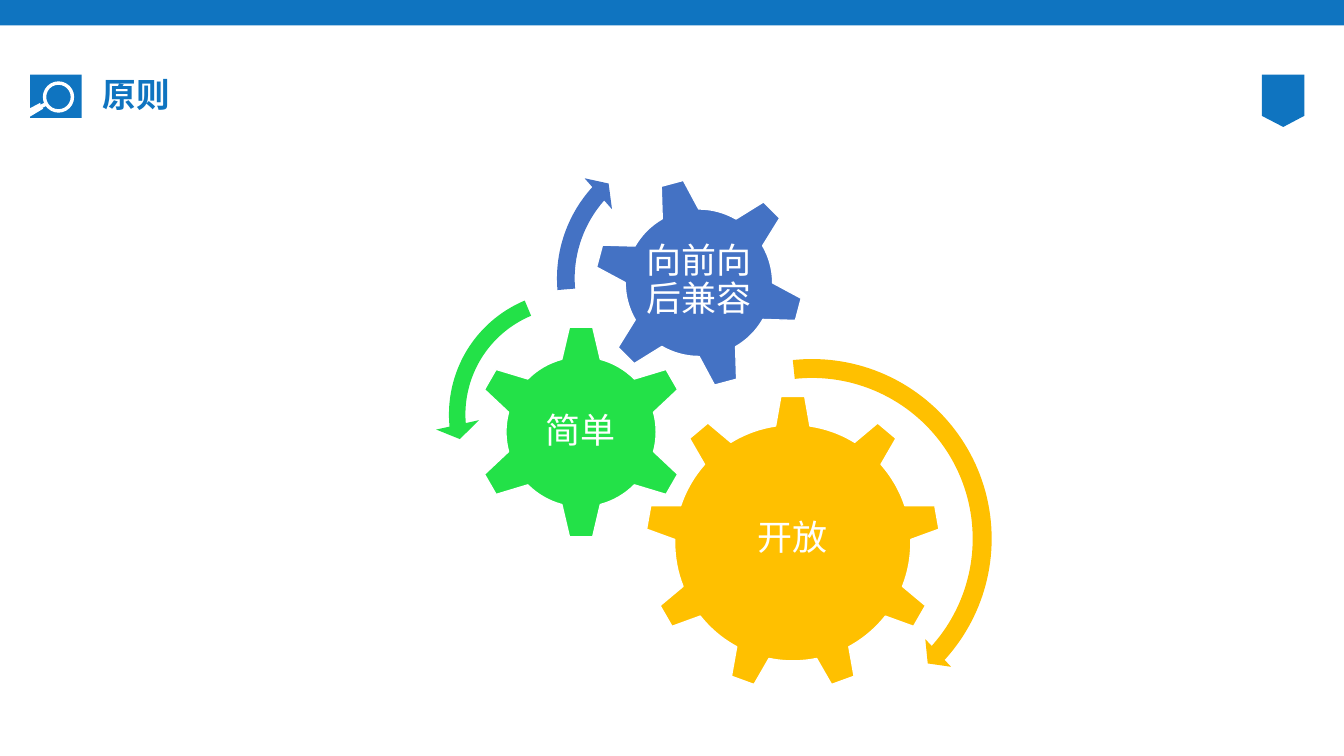
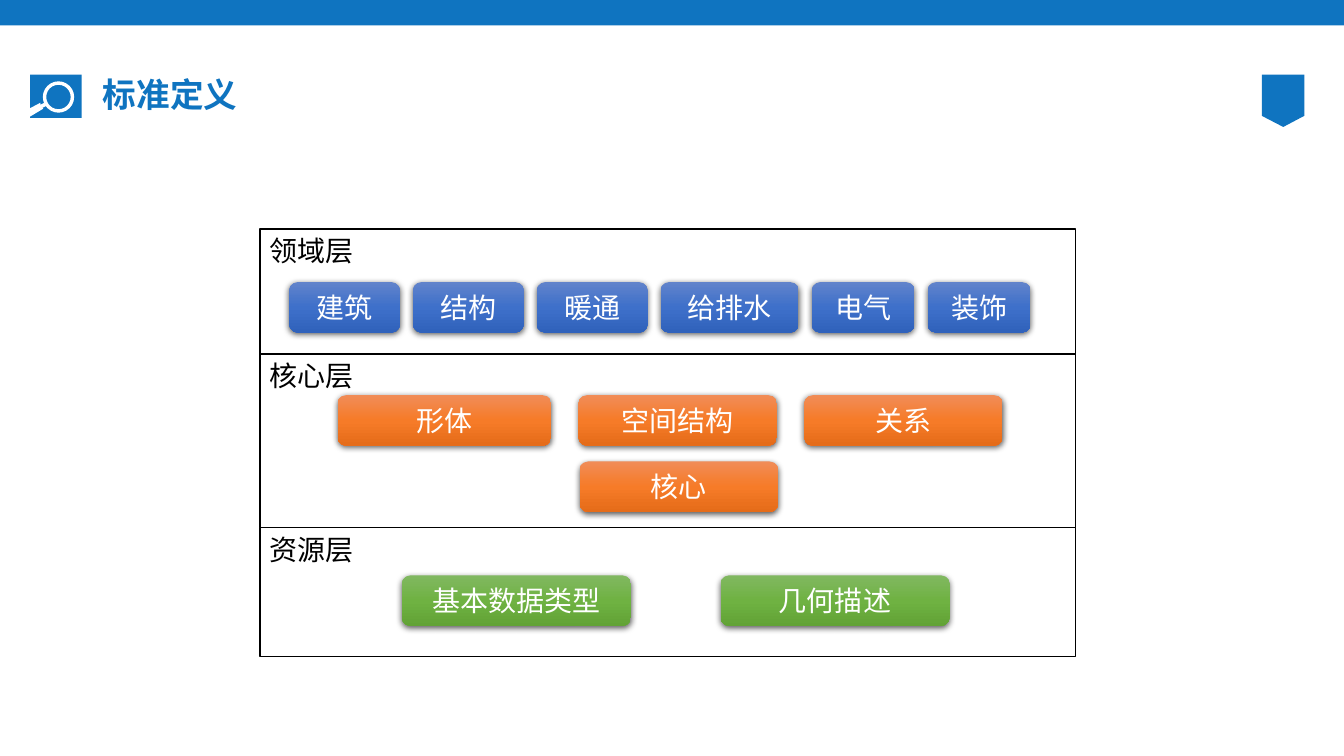
from pptx import Presentation
from pptx.dml.color import RGBColor
from pptx.enum.shapes import MSO_SHAPE
from pptx.enum.text import MSO_ANCHOR, MSO_AUTO_SIZE, PP_ALIGN
from pptx.oxml import parse_xml
from pptx.oxml.ns import nsdecls
from pptx.util import Cm, Pt

RECTANGLE, ROUNDED = MSO_SHAPE.RECTANGLE, MSO_SHAPE.ROUNDED_RECTANGLE
DONUT, GEAR_6, GEAR_9 = MSO_SHAPE.DONUT, MSO_SHAPE.GEAR_6, MSO_SHAPE.GEAR_9
ARROW_RIGHT, ARROW_LEFT = MSO_SHAPE.CIRCULAR_ARROW, MSO_SHAPE.LEFT_CIRCULAR_ARROW
LEFT, CENTER = PP_ALIGN.LEFT, PP_ALIGN.CENTER
TOP, MIDDLE = MSO_ANCHOR.TOP, MSO_ANCHOR.MIDDLE
NO_AUTOFIT = MSO_AUTO_SIZE.NONE

FONT = "Noto Sans CJK SC"
BRAND, WHITE, BLACK = "0F74C0", "FFFFFF", "000000"
YELLOW, GREEN, BLUE = "FFC000", "23E148", "4472C4"
BLUE_GRADIENT = ("6183CB", "3E70CA", "3062BB")
ORANGE_GRADIENT = ("F18C57", "F67B28", "E56C19")
GREEN_GRADIENT = ("81B861", "6FB242", "62A336")

HANDLE = [(1.12, 2.59), (1.02, 2.64), (1.02, 2.59), (0.64, 2.79), (0.6, 2.92),
          (0.66, 2.97), (0.74, 2.95), (1.09, 2.74), (1.07, 2.72), (1.17, 2.67)]
BADGE = [(31.8, 1.88), (32.87, 1.88), (32.87, 2.92), (32.34, 3.2), (31.8, 2.92)]

GEARS = [
    ("开放", GEAR_9, YELLOW, (16.26, 9.96, 7.44, 7.44), 0, (17.75, 11.68, 4.45, 3.81)),
    ("简单", GEAR_6, GREEN, (11.94, 8.18, 5.41, 5.41), 0, (13.28, 9.55, 2.69, 2.67)),
    ("向前向后兼容", GEAR_6, BLUE, (14.96, 4.47, 5.31, 5.31), 345, (16.13, 5.61, 2.97, 2.97)),
]
ARROWS = [
    (ARROW_RIGHT, YELLOW, (15.7, 8.81, 9.53, 9.53), (0.05, 2.99, 25.3, 158.31, 0.05)),
    (ARROW_LEFT, GREEN, (10.97, 6.99, 6.91, 6.91), (0.06, 4.3, 104.89, 148.38, 0.08)),
    (ARROW_RIGHT, BLUE, (13.74, 3.3, 7.44, 7.44), (0.06, 3.94, 133.14, 105.08, 0.07)),
]
LAYERS = [("领域层", 3.15), ("核心层", 4.37), ("资源层", 3.25)]
CHIP_ROWS = [
    (BLUE_GRADIENT, 7.29, 7.11, 0.33,
     [("建筑", 2.79), ("结构", 2.79), ("暖通", 2.79),
      ("给排水", 3.48), ("电气", 2.59), ("装饰", 2.59)]),
    (ORANGE_GRADIENT, 8.51, 9.96, 0.69, [("形体", 5.38), ("空间结构", 5), ("关系", 5)]),
    (ORANGE_GRADIENT, 14.61, 11.63, 0, [("核心", 5)]),
    (GREEN_GRADIENT, 10.13, 14.5, 2.26, [("基本数据类型", 5.77), ("几何描述", 5.77)]),
]


def color(value):
    return RGBColor.from_string(value)


def set_all(target, values):
    for name, value in values.items():
        setattr(target, name, value)


class SlideBuilder:
    def __init__(self):
        self.deck = Presentation()
        set_all(self.deck, {"slide_width": Cm(33.87), "slide_height": Cm(19.05)})
        self.page = None

    def new_page(self, title):
        self.page = self.deck.slides.add_slide(self.deck.slide_layouts[5])
        self.shape(RECTANGLE, (0, 0, 33.87, 0.64), BRAND)
        self.shape(RECTANGLE, (0.76, 1.88, 1.3, 1.09), BRAND)
        ring = self.shape(DONUT, (1.08, 2.05, 0.79, 0.79), WHITE)
        ring.adjustments[0] = 0.11
        self.outline(HANDLE, WHITE)
        self.outline(BADGE, BRAND)
        box = self.page.shapes.title
        set_all(box, dict(zip(("left", "top", "width", "height"),
                              map(Cm, (2.34, 1.88, 29.21, 1.09)))))
        self.put_text(box, title, BRAND, 24, LEFT, spacing=0.9, bold=True)

    def put_text(self, box, text, text_color, size, align=CENTER, anchor=MIDDLE,
                 spacing=1.0, bold=False):
        frame = box.text_frame
        set_all(frame, {"word_wrap": True, "auto_size": NO_AUTOFIT, "vertical_anchor": anchor})
        para = frame.paragraphs[0]
        set_all(para, {"alignment": align, "line_spacing": spacing})
        span = para.add_run()
        span.text = text
        set_all(span.font, {"name": FONT, "size": Pt(size), "bold": bold})
        span.font.color.rgb = color(text_color)
        span._r.get_or_add_rPr().append(
            parse_xml(f'<a:ea {nsdecls("a")} typeface="{FONT}"/>'))

    def paint(self, box, fill, line=None):
        box.shadow.inherit = False
        if fill:
            box.fill.solid()
            box.fill.fore_color.rgb = color(fill)
        if line:
            box.line.color.rgb = color(line)
            box.line.width = Pt(1)
        else:
            box.line.fill.background()
        return box

    def shape(self, kind, area, fill, line=None):
        box = self.page.shapes.add_shape(kind, *map(Cm, area))
        return self.paint(box, fill, line)

    def outline(self, points, fill):
        corners = [(Cm(x), Cm(y)) for x, y in points]
        builder = self.page.shapes.build_freeform(*corners[0])
        builder.add_line_segments(corners[1:], close=True)
        return self.paint(builder.convert_to_shape(), fill)

    def label(self, text, area):
        box = self.page.shapes.add_textbox(*map(Cm, area))
        sides = ("margin_left", "margin_top", "margin_right", "margin_bottom")
        set_all(box.text_frame, dict.fromkeys(sides, Cm(0.08)))
        self.put_text(box, text, WHITE, 25, spacing=0.9)

    def gear(self, text, kind, fill, area, rotation, text_area):
        self.shape(kind, area, fill, WHITE).rotation = rotation
        self.label(text, text_area)

    def arrow(self, kind, fill, area, adjustments):
        box = self.shape(kind, area, fill)
        for index, value in enumerate(adjustments):
            box.adjustments[index] = value

    def layer(self, text, area):
        box = self.shape(RECTANGLE, area, WHITE, BLACK)
        self.put_text(box, text, BLACK, 20, LEFT, TOP)

    def chip(self, text, area, gradient):
        box = self.shape(ROUNDED, area, None)
        stops = "".join(
            f'<a:gs pos="{index * 50000}"><a:srgbClr val="{value}"/></a:gs>'
            for index, value in enumerate(gradient))
        properties = box._element.spPr
        properties.prstGeom.addnext(parse_xml(
            f'<a:gradFill {nsdecls("a")} rotWithShape="1"><a:gsLst>{stops}</a:gsLst>'
            '<a:lin ang="5400000" scaled="0"/></a:gradFill>'))
        properties.effectLst.append(parse_xml(
            f'<a:outerShdw {nsdecls("a")} blurRad="{Pt(4.5)}" dist="{Pt(1.5)}" '
            'dir="5400000" algn="ctr" rotWithShape="0">'
            f'<a:srgbClr val="{BLACK}"><a:alpha val="63000"/></a:srgbClr></a:outerShdw>'))
        self.put_text(box, text, WHITE, 20)

    def chip_row(self, gradient, left, top, gap, chips):
        for text, width in chips:
            self.chip(text, (left, top, width, 1.27), gradient)
            left += width + gap


def main():
    builder = SlideBuilder()

    builder.new_page("原则")
    for gear in GEARS:
        builder.gear(*gear)
    for arrow in ARROWS:
        builder.arrow(*arrow)

    builder.new_page("标准定义")
    top = 5.77
    for text, height in LAYERS:
        builder.layer(text, (6.55, top, 20.55, height))
        top += height
    for row in CHIP_ROWS:
        builder.chip_row(*row)

    builder.deck.save("out.pptx")


if __name__ == "__main__":
    main()
